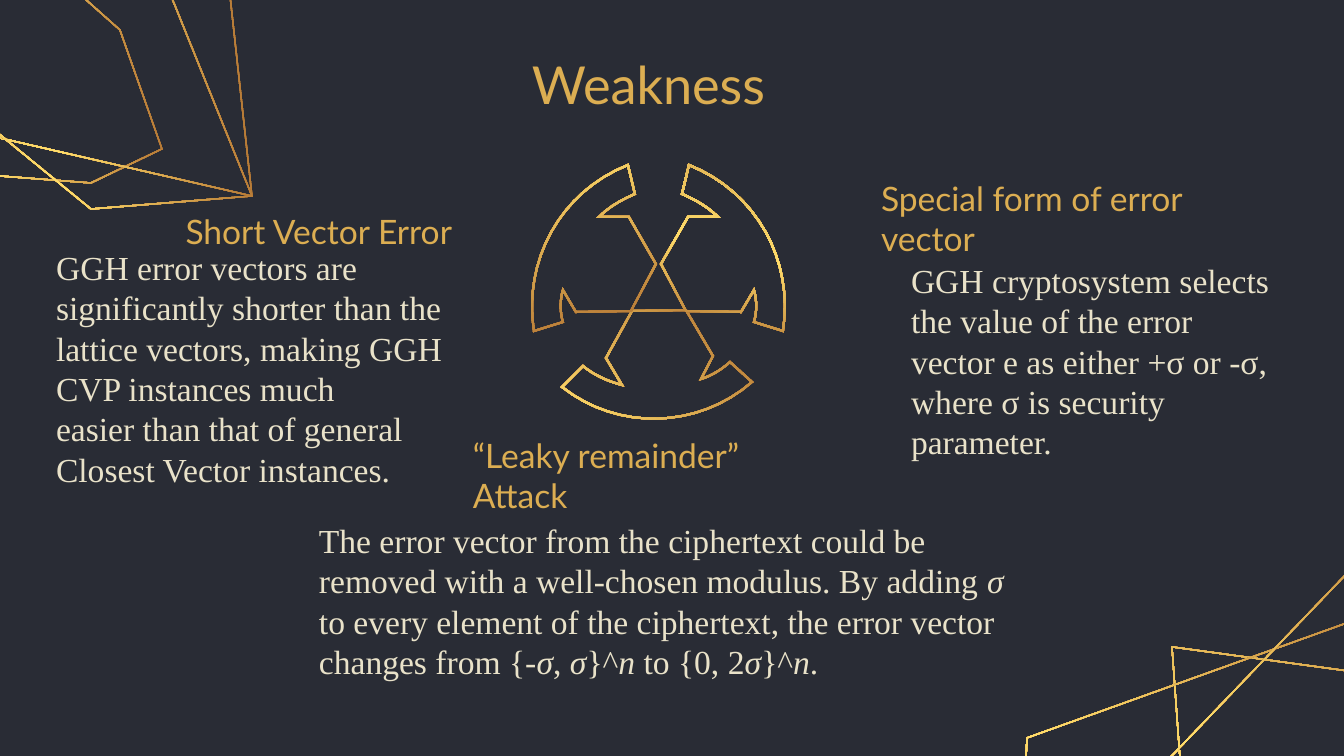
from copy import deepcopy
from dataclasses import dataclass
from math import hypot

from pptx import Presentation
from pptx.dml.color import RGBColor
from pptx.enum.text import MSO_ANCHOR, MSO_AUTO_SIZE, PP_ALIGN
from pptx.oxml.ns import qn
from pptx.util import Emu, Pt

PIXEL = 914400 / 134.4
GOLD = "DCAE52"
CREAM = "E9E2C9"
TWO_TONE = ("AF7132", "FFDD6B")
THREE_TONE = ("AF7132", "FFDD6B", GOLD)


@dataclass(frozen=True)
class Outline:
    steps: list[tuple[int, ...]]
    turn: float
    width: float = 1.3
    colors: tuple[str, ...] = THREE_TONE


@dataclass(frozen=True)
class TextBlock:
    box: tuple[int, int, int, int]
    paragraphs: list[list[str]]
    placeholder: int | None = None
    heading: bool = True
    size: int = 18
    align: PP_ALIGN = PP_ALIGN.LEFT


LEFT_HAMMER = [
    (631, 311), (576, 312), (563, 290), (560, 300, 560, 312, 563, 322),
    (534, 331), (523, 261, 560, 192, 628, 165),
    (635, 194), (621, 200, 609, 207, 599, 217), (629, 217), (656, 264),
]
BOTTOM_HAMMER = [
    (686, 310), (713, 356), (701, 379), (711, 376, 721, 370, 730, 362),
    (752, 382), (698, 429, 618, 431, 562, 387),
    (583, 366), (594, 375, 607, 381, 622, 385), (606, 358), (632, 311),
]
RIGHT_HAMMER = [
    tuple(1317 - value if index % 2 == 0 else value for index, value in enumerate(step))
    for step in LEFT_HAMMER
]

OUTLINES = [
    Outline([(1206, 1122), (1172, 647), (1757, 727), (1652, 953)], 25.2),
    Outline([(-207, -59), (-60, -130), (120, 30), (162, 149), (91, 183), (-145, 165)], 85.2),
    Outline([(-149, 13), (-95, -94), (230, -5), (252, 196), (-35, 130)], 85.2),
    Outline([(-149, 13), (108, -160), (252, 196), (91, 209)], 85.2),
    Outline([(1016, 986), (1027, 738), (1372, 614), (1563, 644), (1558, 765), (1361, 1067)], 23.8),
    Outline([(1126, 1062), (1021, 913), (1379, 540), (1664, 659), (1478, 995)], 23.8),
    Outline(BOTTOM_HAMMER, 43.6, 2, TWO_TONE),
    Outline(RIGHT_HAMMER, 195.6, 2),
    Outline(LEFT_HAMMER, 164.4, 2, TWO_TONE),
]

TEXT_BLOCKS = [
    TextBlock((270, 52, 757, 63), [["Weakness"]], 0, size=28, align=PP_ALIGN.CENTER),
    TextBlock((128, 214, 345, 34), [["Short Vector Error "]], 1, align=PP_ALIGN.RIGHT),
    TextBlock((23, 234, 450, 466), [
        ["GGH error vectors are significantly shorter than the"],
        ["lattice vectors, making GGH CVP instances much"],
        ["easier than that of general Closest Vector instances."],
    ], 2, heading=False),
    TextBlock((868, 160, 417, 116), [["Special form of error vector"]], 3),
    TextBlock((878, 247, 431, 233), [
        ["GGH cryptosystem selects the value of the error"],
        ["vector e as either +σ or -σ, where σ is security"],
        ["parameter."],
    ], 4, heading=False),
    TextBlock((460, 440, 378, 70), [["“Leaky remainder” Attack"]]),
    TextBlock((286, 507, 808, 208), [
        ["The error vector from the ciphertext could be"],
        ["removed with a well-chosen modulus. By adding ", "σ"],
        ["to every element of the ciphertext, the error vector"],
        ["changes from {-", "σ", ", ", "σ", "}^", "n ", "to {0, 2", "σ", "}^", "n", "."],
    ], heading=False),
]


def rgb(color: str) -> RGBColor:
    return RGBColor.from_string(color)


def px(length: float) -> Emu:
    return Emu(round(length * PIXEL))


def flatten(steps: list[tuple[int, ...]]) -> list[tuple[float, float]]:
    points = []
    for step in steps:
        if len(step) == 2:
            points.append(step)
            continue
        start = points[-1]
        for count in range(1, 17):
            t = count / 16
            points.append(tuple(
                (1 - t) ** 3 * start[axis] + 3 * (1 - t) ** 2 * t * step[axis]
                + 3 * (1 - t) * t ** 2 * step[axis + 2] + t ** 3 * step[axis + 4]
                for axis in (0, 1)
            ))
    return points


def offset(points: list[tuple[float, float]], distance: float) -> list[tuple[int, int]]:
    normals = []
    for (x1, y1), (x2, y2) in zip(points, points[1:] + points[:1]):
        length = hypot(x2 - x1, y2 - y1)
        normals.append(((y2 - y1) / length, (x1 - x2) / length))
    moved = []
    for index, (x, y) in enumerate(points):
        (ax, ay), (bx, by) = normals[index - 1], normals[index]
        reach = distance / (1 + ax * bx + ay * by)
        moved.append((px(x + reach * (ax + bx)), px(y + reach * (ay + by))))
    return moved


def draw_outline(page, outline: Outline) -> None:
    points = flatten(outline.steps)
    outer = offset(points, outline.width / 2)
    inner = offset(points, -outline.width / 2)[::-1]
    builder = page.shapes.build_freeform(*outer[0], scale=1.0)
    builder.add_line_segments(outer[1:], close=True)
    builder.move_to(*inner[0])
    builder.add_line_segments(inner[1:], close=True)
    shape = builder.convert_to_shape()
    shape.shadow.inherit = False
    shape.line.fill.background()
    shape.fill.gradient()
    shape.fill.gradient_angle = (270 - outline.turn) % 360
    stop_list = shape._element.spPr.find(".//" + qn("a:gsLst"))
    for _ in outline.colors[2:]:
        stop_list.append(deepcopy(stop_list[-1]))
    for index, (stop, color) in enumerate(zip(shape.fill.gradient_stops, outline.colors)):
        stop.color.rgb = rgb(color)
        stop.position = index / (len(outline.colors) - 1)


def write_text(page, block: TextBlock) -> None:
    bounds = [px(length) for length in block.box]
    if block.placeholder is None:
        box = page.shapes.add_textbox(*bounds)
    else:
        box = page.placeholders[block.placeholder]
        box.left, box.top, box.width, box.height = bounds
    frame = box.text_frame
    frame.word_wrap = True
    frame.auto_size = MSO_AUTO_SIZE.NONE
    frame.vertical_anchor = MSO_ANCHOR.MIDDLE if block.heading else MSO_ANCHOR.TOP
    frame.margin_left = frame.margin_right = frame.margin_top = frame.margin_bottom = px(13)
    for index, texts in enumerate(block.paragraphs):
        para = frame.add_paragraph() if index else frame.paragraphs[0]
        para.alignment = block.align
        para.space_before = para.space_after = Pt(0)
        para.line_spacing = 1.0 if block.heading else Pt(21.6)
        properties = para._p.get_or_add_pPr()
        properties.set("marL", str(0 if block.heading else px(20)))
        properties.set("indent", "0")
        properties.append(properties.makeelement(qn("a:buNone"), {}))
        for text in texts:
            span = para.add_run()
            span.text = text
            span.font.name = "Lato" if block.heading else "Times New Roman"
            span.font.size = Pt(block.size)
            span.font.bold = False
            span.font.italic = text.strip() in ("σ", "n")
            span.font.color.rgb = rgb(GOLD if block.heading else CREAM)


deck = Presentation()
deck.slide_width, deck.slide_height = px(1344), px(756)
page = deck.slides.add_slide(deck.slide_layouts.get_by_name("Comparison"))
page.background.fill.solid()
page.background.fill.fore_color.rgb = rgb("292C35")
for outline in OUTLINES:
    draw_outline(page, outline)
for block in TEXT_BLOCKS:
    write_text(page, block)
deck.save("out.pptx")
